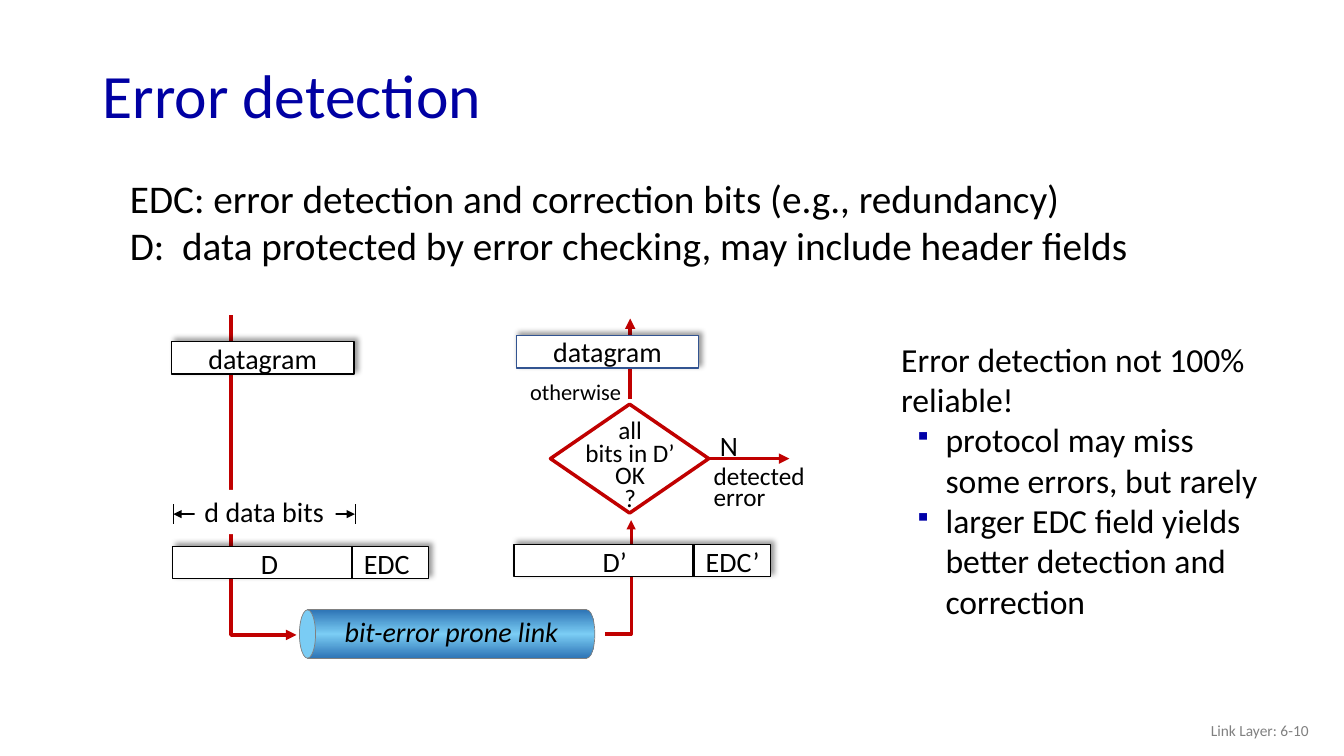
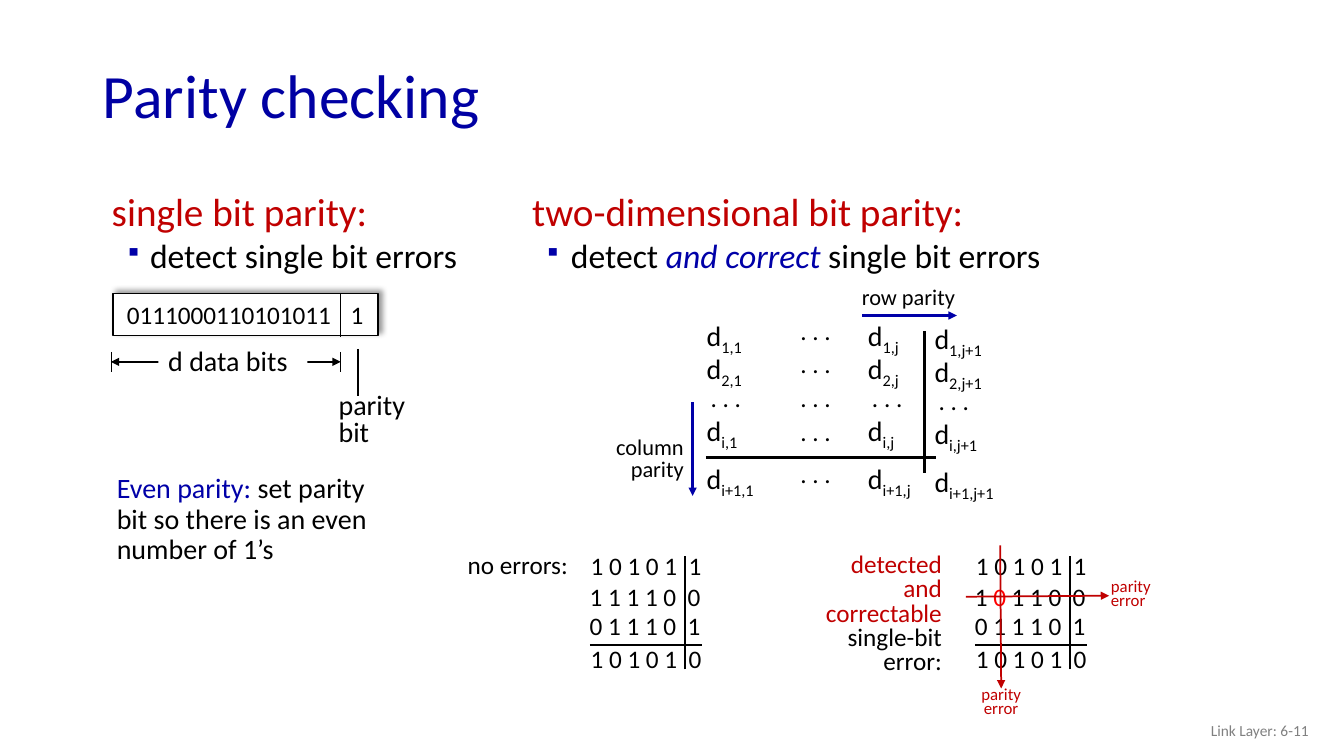
from copy import deepcopy
from dataclasses import dataclass

from lxml import etree
from pptx import Presentation
from pptx.dml.color import RGBColor
from pptx.enum.shapes import MSO_CONNECTOR, MSO_SHAPE
from pptx.enum.text import MSO_ANCHOR, PP_ALIGN
from pptx.oxml.ns import qn
from pptx.util import Pt

PX = 9144
STRAIGHT = MSO_CONNECTOR.STRAIGHT
RECT, OVAL, DIAMOND = MSO_SHAPE.RECTANGLE, MSO_SHAPE.OVAL, MSO_SHAPE.DIAMOND
LEFT, CENTER, RIGHT = PP_ALIGN.LEFT, PP_ALIGN.CENTER, PP_ALIGN.RIGHT
TOP, MIDDLE = MSO_ANCHOR.TOP, MSO_ANCHOR.MIDDLE


@dataclass(frozen=True)
class Theme:
    font: str = "Calibri"
    ink: RGBColor = RGBColor(0, 0, 0)
    white: RGBColor = RGBColor(255, 255, 255)
    heading: RGBColor = RGBColor(0, 0, 0xA3)
    blue: RGBColor = RGBColor(0, 0, 0xA8)
    red: RGBColor = RGBColor(0xC0, 0, 0)
    flipped: RGBColor = RGBColor(0xFF, 0, 0)
    gray: RGBColor = RGBColor(0x80, 0x80, 0x80)
    steel: RGBColor = RGBColor(0x32, 0x54, 0x91)
    pipe_edge: RGBColor = RGBColor(0x2E, 0x75, 0xB6)
    pipe_core: RGBColor = RGBColor(0x7A, 0xCC, 0xF4)
    title: int = 44
    lead: int = 28
    body: int = 24
    label: int = 20
    detail: int = 18
    small: int = 16
    tiny: int = 12
    footer: int = 11


T = Theme()


def write(slide, at, text="", size=T.label, color=T.ink, align=LEFT, spacing=1.0,
          wrap=False, anchor=TOP, fill=None, frame=None):
    bounds = [v * PX for v in at]
    if frame is None:
        box = slide.shapes.add_textbox(*bounds)
    else:
        box = slide.shapes.add_shape(RECT, *bounds)
        box.line.color.rgb = frame
        box.line.width = Pt(1)
        box.shadow.inherit = False
        effects = box._element.spPr.find(qn("a:effectLst"))
        shadow = etree.SubElement(effects, qn("a:outerShdw"), blurRad="50800",
                                  dist="38100", dir="18900000", algn="bl", rotWithShape="0")
        shade = etree.SubElement(shadow, qn("a:srgbClr"), val="000000")
        etree.SubElement(shade, qn("a:alpha"), val="40000")
        fill, align, anchor = T.white, CENTER, MIDDLE
    if fill is not None:
        box.fill.solid()
        box.fill.fore_color.rgb = fill
    frame_text = box.text_frame
    frame_text.word_wrap = wrap
    frame_text.vertical_anchor = anchor
    if frame is not None:
        frame_text.margin_top = frame_text.margin_bottom = 0
    frame_text.text = text
    for paragraph in frame_text.paragraphs:
        first, *others = paragraph.text.split("|")
        paragraph.text = first
        for piece in others:
            paragraph.add_run().text = piece
        paragraph.alignment = align
        paragraph.line_spacing = spacing
        for run in paragraph.runs:
            run.font.name = T.font
            run.font.size = Pt(size)
            run.font.color.rgb = color
    return box


def stroke(slide, points, color=T.ink, width=1.0, head=False, tail=False):
    (x, y), *rest = [(a * PX, b * PX) for a, b in points]
    if len(rest) == 1:
        path_line = slide.shapes.add_connector(STRAIGHT, x, y, *rest[0])
    else:
        builder = slide.shapes.build_freeform(x, y, scale=1.0)
        builder.add_line_segments(rest, close=False)
        path_line = builder.convert_to_shape()
        path_line.fill.background()
    path_line.line.color.rgb = color
    path_line.line.width = Pt(width)
    properties = path_line._element.spPr
    outline = properties.find(qn("a:ln"))
    for wanted, tag in ((head, "a:headEnd"), (tail, "a:tailEnd")):
        if wanted:
            etree.SubElement(outline, qn(tag), type="triangle")
    etree.SubElement(properties, qn("a:effectLst"))
    return path_line


prs = Presentation()
prs.slide_width, prs.slide_height = 1333 * PX, 750 * PX

slides = []
for number, heading in ((10, "Error detection"), (11, "Parity checking")):
    slide = prs.slides.add_slide(prs.slide_layouts[5])
    title = slide.shapes.title
    title.left, title.top, title.width, title.height = [v * PX for v in (92, 49, 1150, 98)]
    title.text_frame.text = heading
    title.text_frame.vertical_anchor = MIDDLE
    paragraph = title.text_frame.paragraphs[0]
    paragraph.alignment = LEFT
    paragraph.line_spacing = 0.9
    font = paragraph.runs[0].font
    font.name, font.size, font.color.rgb = T.font, Pt(T.title), T.heading
    write(slide, (1008, 705, 300, 40), f"Link Layer: 6-{number}", T.footer, T.gray,
          RIGHT, wrap=True, anchor=MIDDLE)
    slides.append(slide)
detection, parity = slides

write(detection, (119, 168, 1079, 104),
      "EDC: error detection and correction bits (e.g., redundancy)\n"
      "D:  data protected by error checking, may include header fields", T.lead, wrap=True)
caveats = write(detection, (884, 331, 377, 293),
                "Error detection not 100% reliable!\n"
                "protocol may miss some errors, but rarely\n"
                "larger EDC field yields better detection and correction", T.body, wrap=True)

stroke(detection, [(229, 313), (229, 630), (294, 630)], T.red, 2.5, tail=True)
stroke(detection, [(600, 629), (626, 629), (626, 516)], T.red, 2.25, tail=True)
stroke(detection, [(625, 396), (625, 316)], T.red, 2.5, tail=True)
for x, y, edge in ((170, 339, T.ink), (512, 333, T.steel)):
    write(detection, (x, y, 181, 32), "datagram", frame=edge)

for x, y, mark, data_x, check_x, split_x in ((171, 542, "", 249, 351, 349),
                                             (510, 540, "’", 588, 690, 688)):
    write(detection, (x, y, 254, 32), frame=T.ink)
    write(detection, (data_x, y - 5, 70, 44), "D" + mark, wrap=True)
    write(detection, (check_x, y - 5, 100, 44), "EDC" + mark, wrap=True)
    stroke(detection, [(split_x, y), (split_x, y + 32)], width=1.75)

pipe = []
for kind, x, width, outlined in ((RECT, 305, 277, True), (OVAL, 574, 16, True),
                                 (RECT, 553, 29, False), (OVAL, 297, 16, True)):
    part = detection.shapes.add_shape(kind, x * PX, 605 * PX, width * PX, 48 * PX)
    part.shadow.inherit = False
    part.line.fill.background()
    if outlined:
        part.line.color.rgb = T.gray
        part.line.width = Pt(0.5)
    pipe.append(part)
*pipe_body, pipe_mouth = pipe
pipe_mouth.fill.solid()
pipe_mouth.fill.fore_color.rgb = T.pipe_core
for part in pipe_body:
    part.fill.gradient()
    part.fill.gradient_angle = 90
    stop_list = part._element.spPr.find(".//" + qn("a:gsLst"))
    stop_list.insert(1, deepcopy(stop_list[0]))
    for stop, position, color in zip(part.fill.gradient_stops, (0, 0.5, 1),
                                     (T.pipe_edge, T.pipe_core, T.pipe_edge)):
        stop.position = position
        stop.color.rgb = color
link_name = write(detection, (332, 605, 234, 44), "bit-error prone link")
link_name.text_frame.paragraphs[0].runs[0].font.italic = True

check = detection.shapes.add_shape(DIAMOND, 546 * PX, 401 * PX, 157 * PX, 108 * PX)
check.shadow.inherit = False
check.fill.solid()
check.fill.fore_color.rgb = T.white
check.line.color.rgb = T.red
check.line.width = Pt(2.5)
write(detection, (570, 413, 110, 102), "all\nbits in D’\nOK\n?", T.detail, align=CENTER,
      spacing=0.75)
write(detection, (704, 420, 38, 44), "N")
write(detection, (698, 460, 117, 54), "detected\nerror", T.detail, spacing=0.7, wrap=True)
write(detection, (516, 378, 112, 30), "otherwise", T.small, spacing=0.7)
failure = stroke(detection, [(703, 455), (783, 455)], T.red, 2.5, tail=True)
failure.begin_connect(check, 3)

write(parity, (112, 291, 263, 42), frame=T.ink)
write(parity, (116, 292, 225, 40), "0111000110101011", T.detail)
write(parity, (338, 292, 33, 40), "1", T.detail)
stroke(parity, [(338, 292), (338, 334)])
write(parity, (326, 386, 148, 65), "parity\nbit", spacing=0.8, wrap=True, fill=T.white)
stroke(parity, [(355, 346), (355, 393)])

for slide, left, right, y, label_at, spacing in (
        (detection, 172, 352, 510, (193, 486, 140, 44), 1.0),
        (parity, 110, 338, 359, (157, 342, 148, 38), 0.8)):
    stroke(slide, [(left, y), (right, y)], width=1.75, head=True, tail=True)
    write(slide, label_at, "d data bits", spacing=spacing, wrap=True, fill=T.white)
    for x in (left, right):
        stroke(slide, [(x, y - 10), (x, y + 10)], width=0.5)

single = write(parity, (101, 181, 368, 98), "single bit parity:\ndetect single bit errors",
               T.lead, T.red, wrap=True)
double = write(parity, (518, 181, 537, 98),
               "two-dimensional bit parity:\n detect |and correct |single bit errors",
               T.lead, T.red, wrap=True)
for scheme in (single, double):
    for run in scheme.text_frame.paragraphs[1].runs:
        run.font.size = Pt(T.body)
        run.font.color.rgb = T.ink
emphasis = double.text_frame.paragraphs[1].runs[1].font
emphasis.italic = True
emphasis.color.rgb = T.blue

even = write(parity, (106, 466, 299, 101),
             "Even parity: |set parity bit so there is an even number of 1’s",
             spacing=0.9, wrap=True)
even.text_frame.paragraphs[0].runs[0].font.color.rgb = T.blue

for x, drop, column in ((691, 0, "1"), (851, 0, "j"), (917, 3, "j+1")):
    for y, row in ((311, "1"), (344, "2"), (405, "i"), (453, "i+1")):
        entry = write(parity, (x, y + drop, 95, 44), f"d|{row},{column}", wrap=True)
        index_font = entry.text_frame.paragraphs[0].runs[1].font
        index_font._element.set("baseline", "-25000")
    write(parity, (x + 4, 374 + drop, 69, 40), ". . .", T.detail, wrap=True)
for y in (308, 341, 374, 408, 450):
    write(parity, (784, y, 69, 40), ". . .", T.detail, wrap=True)
stroke(parity, [(700, 454), (928, 454)], width=2)
stroke(parity, [(917, 469), (917, 328)], width=2)

write(parity, (845, 276, 114, 37), "row parity", T.small)
write(parity, (600, 430, 88, 54), "column\nparity", T.small, align=RIGHT, spacing=0.8)
for start, end in (((855, 313), (949, 313)), ((687, 399), (687, 492))):
    stroke(parity, [start, end], T.blue, 1.75, tail=True)

for x, second_row in ((576, "1 1 1 1 0  0"), (958, "1 |0| 1 1 0  0")):
    for shift, y, bits in ((0, 541, "1 0 1 0 1  1"), (-1, 572, second_row),
                           (-1, 601, "0 1 1 1 0  1"), (0, 633, "1 0 1 0 1  0")):
        word = write(parity, (x + shift, y, 132, 40), bits, T.detail)
        for run in word.text_frame.paragraphs[0].runs[1:2]:
            run.font.color.rgb = T.flipped
    stroke(parity, [(x + 9, 640), (x + 120, 640)], width=1.5)
    stroke(parity, [(x + 103, 664), (x + 103, 552)], width=1.5)

write(parity, (454, 540, 121, 40), "no errors:", T.detail)
verdict = write(parity, (790, 545, 154, 132),
                "detected\nand\ncorrectable\nsingle-bit\nerror:", T.detail, T.red,
                RIGHT, 0.8, wrap=True)
for paragraph in verdict.text_frame.paragraphs[3:]:
    paragraph.runs[0].font.color.rgb = T.ink
for at, align, start, end in (((963, 679, 60, 39), CENTER, (992, 541), (993, 683)),
                              ((1092, 572, 60, 39), LEFT, (958, 592), (1100, 591))):
    write(parity, at, "parity\nerror", T.tiny, T.red, align, 0.7)
    stroke(parity, [start, end], T.red, 1.25, tail=True)

for holder, indent, hanging in ((caveats, 44, 31), (single, 38, 25), (double, 31, 19)):
    for paragraph in holder.text_frame.paragraphs[1:]:
        properties = paragraph._p.get_or_add_pPr()
        properties.set("marL", str(indent * PX))
        properties.set("indent", str(-hanging * PX))
        tint = etree.SubElement(properties, qn("a:buClr"))
        etree.SubElement(tint, qn("a:srgbClr"), val=str(T.blue))
        etree.SubElement(properties, qn("a:buSzPct"), val="70000")
        etree.SubElement(properties, qn("a:buChar"), char="▪")

prs.save("out.pptx")
